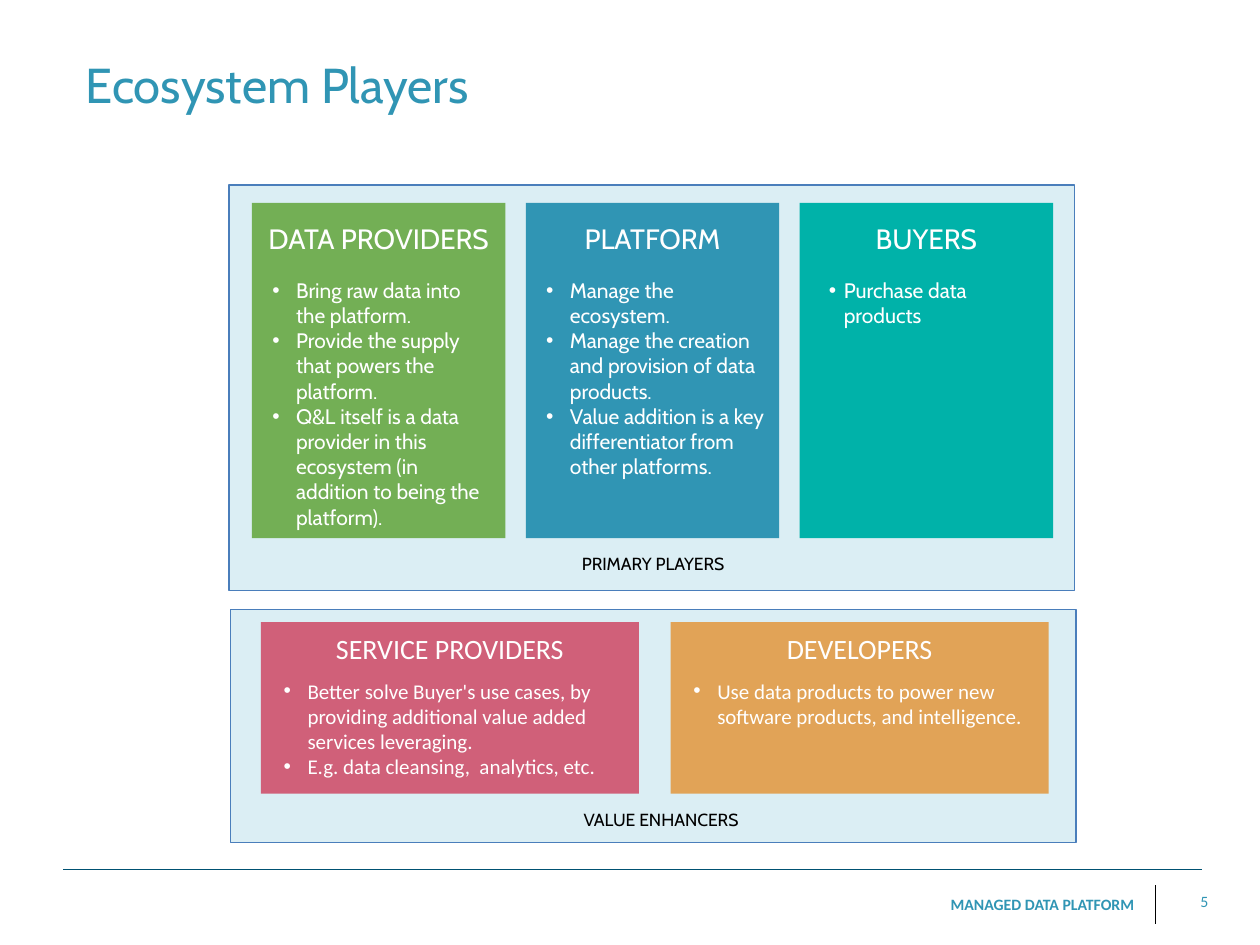
from collections import namedtuple

from lxml.etree import SubElement
from pptx import Presentation
from pptx.dml.color import RGBColor
from pptx.enum.shapes import MSO_CONNECTOR as Conn, MSO_SHAPE as Geo
from pptx.enum.text import MSO_ANCHOR as Anchor, PP_ALIGN as Align
from pptx.oxml.ns import qn
from pptx.util import Cm, Pt

WHITE = RGBColor(0xFF, 0xFF, 0xFF)
BLACK = RGBColor(0, 0, 0)
NAVY = RGBColor(0x00, 0x51, 0x72)
BLUE = RGBColor(0x30, 0x95, 0xB4)
PALE = RGBColor(0xDB, 0xEE, 0xF4)
EDGE = RGBColor(0x4A, 0x7E, 0xBB)
GREEN = RGBColor(0x73, 0xAF, 0x55)
TEAL = RGBColor(0x00, 0xB2, 0xA9)
ROSE = RGBColor(0xD0, 0x60, 0x79)
SAND = RGBColor(0xE1, 0xA3, 0x57)

Box = namedtuple("Box", "x y w h")
Look = namedtuple("Look", "font head_y head_h anchor list_x list_y left")
Card = namedtuple("Card", "head fill width hang items")

UPPER = Look("Cabin", 0.03, 1.37, Anchor.MIDDLE, 0.12, 1.37, 0.64)
LOWER = Look("Calibri", 0.07, 1.17, Anchor.TOP, 0.33, 1, 0.48)

PLAYERS = [
    Card("DATA PROVIDERS", GREEN, 4.75, 0.48, [
        "Bring raw data into the platform.",
        "Provide the supply that powers the platform.",
        "Q&L itself is a data provider in this ecosystem "
        "(in addition to being the platform)."]),
    Card("PLATFORM", BLUE, 4.85, 0.48, [
        "Manage the ecosystem.",
        "Manage the creation and provision of data products.",
        "Value addition is a key differentiator from other platforms."]),
    Card("BUYERS", TEAL, 4.88, 0.3, ["Purchase data products"]),
]
HELPERS = [
    Card("SERVICE PROVIDERS", ROSE, 6.93, 0.48, [
        "Better solve Buyer's use cases, by providing additional "
        "value added services leveraging.",
        "E.g. data cleansing,  analytics, etc."]),
    Card("DEVELOPERS", SAND, 6.93, 0.48, [
        "Use data products to power new software products, "
        "and intelligence."]),
]


def place(box):
    """Turn a box in centimetres into lengths."""
    return [Cm(v) for v in box]


def add_rect(slide, box, fill, edge=None):
    """Add a flat rectangle with an optional outline."""
    rect = slide.shapes.add_shape(Geo.RECTANGLE, *place(box))
    rect.shadow.inherit = False
    rect.fill.solid()
    rect.fill.fore_color.rgb = fill
    if edge is None:
        rect.line.fill.background()
    else:
        rect.line.color.rgb = edge
        rect.line.width = Pt(0.75)


def add_line(slide, start, end, color):
    """Add a thin line without a shadow."""
    line = slide.shapes.add_connector(Conn.STRAIGHT, *place(start + end))
    line.line.color.rgb = color
    line.line.width = Pt(0.5)
    SubElement(line._element.spPr, qn("a:effectLst"))


def add_bullet(para, left, hang):
    """Give a paragraph a bullet with a hanging indent."""
    props = para._p.get_or_add_pPr()
    props.set("marL", str(Cm(left)))
    props.set("indent", str(-Cm(hang)))
    SubElement(props, qn("a:buFont"), typeface="Arial")
    SubElement(props, qn("a:buChar"), char="•")


def add_text(slide, box, lines, font, size, color, align=Align.LEFT,
             anchor=Anchor.TOP, bold=False, dent=None, wrap=True):
    """Add a text box with one paragraph for each line."""
    frame = slide.shapes.add_textbox(*place(box)).text_frame
    frame.word_wrap = wrap
    frame.vertical_anchor = anchor
    frame.margin_left = frame.margin_right = Cm(0.13)
    frame.margin_top = frame.margin_bottom = Cm(0.13)
    for i, line in enumerate(lines):
        para = frame.add_paragraph() if i else frame.paragraphs[0]
        para.alignment = align
        if dent:
            add_bullet(para, *dent)
        run = para.add_run()
        run.text = line
        run.font.name = font
        run.font.size = Pt(size)
        run.font.bold = bold
        run.font.color.rgb = color


def add_card(slide, box, card, look):
    """Draw one player with its heading and bullets."""
    add_rect(slide, box, card.fill)
    head = Box(box.x + 0.13, box.y + look.head_y, box.w - 0.26, look.head_h)
    add_text(slide, head, [card.head], look.font, 16, WHITE,
             Align.CENTER, look.anchor)
    top = box.y + look.list_y
    body = Box(box.x + look.list_x, top, card.width, box.y + box.h - top)
    add_text(slide, body, card.items, look.font, 12, WHITE,
             dent=(look.left, card.hang))


def add_panel(slide, box, cards, look, first, step, label, spot):
    """Draw a panel with evenly spaced cards and a caption."""
    add_rect(slide, box, PALE, EDGE)
    for i, card in enumerate(cards):
        area = Box(box.x + first.x + i * step, box.y + first.y,
                   first.w, first.h)
        add_card(slide, area, card, look)
    area = Box(box.x + spot.x, box.y + spot.y, spot.w, spot.h)
    add_text(slide, area, [label], "Cabin", 10, BLACK, Align.CENTER)


def add_title(slide, box):
    """Write the slide title."""
    add_text(slide, box, ["Ecosystem Players"], "Cabin", 28, BLUE,
             anchor=Anchor.MIDDLE)


def add_footer(slide, box):
    """Draw the footer rule, its label and the page number."""
    add_line(slide, (box.x, box.y), (box.x + box.w, box.y), NAVY)
    bar = box.x + 22.02
    add_line(slide, (bar, box.y + 0.33), (bar, box.y + 1.1), BLACK)
    add_text(slide, Box(bar - 7.92, box.y + 0.38, 7.62, 0.64),
             ["MANAGED DATA PLATFORM"], "Calibri", 9, BLUE,
             Align.RIGHT, bold=True)
    add_text(slide, Box(bar + 0.74, box.y + 0.33, 0.46, 0.64), ["5"],
             "Calibri", 9, BLUE, Align.RIGHT, wrap=False)


def main():
    """Build and save the slide."""
    deck = Presentation()
    deck.slide_width, deck.slide_height = Cm(25.4), Cm(19.05)
    slide = deck.slides.add_slide(deck.slide_layouts[6])
    add_footer(slide, Box(1.27, 17.52, 22.96, 1.2))
    add_title(slide, Box(1.6, 0.33, 22.89, 2.74))
    add_panel(slide, Box(4.62, 3.73, 17.04, 8.18), PLAYERS, UPPER,
              Box(0.46, 0.36, 5.11, 6.76), 5.52,
              "PRIMARY PLAYERS", Box(4.52, 7.29, 8.05, 0.64))
    add_panel(slide, Box(4.65, 12.29, 17.04, 4.7), HELPERS, LOWER,
              Box(0.61, 0.25, 7.62, 3.46), 8.26,
              "VALUE ENHANCERS", Box(4.65, 3.89, 8.05, 0.64))
    deck.save("out.pptx")


if __name__ == "__main__":
    main()
